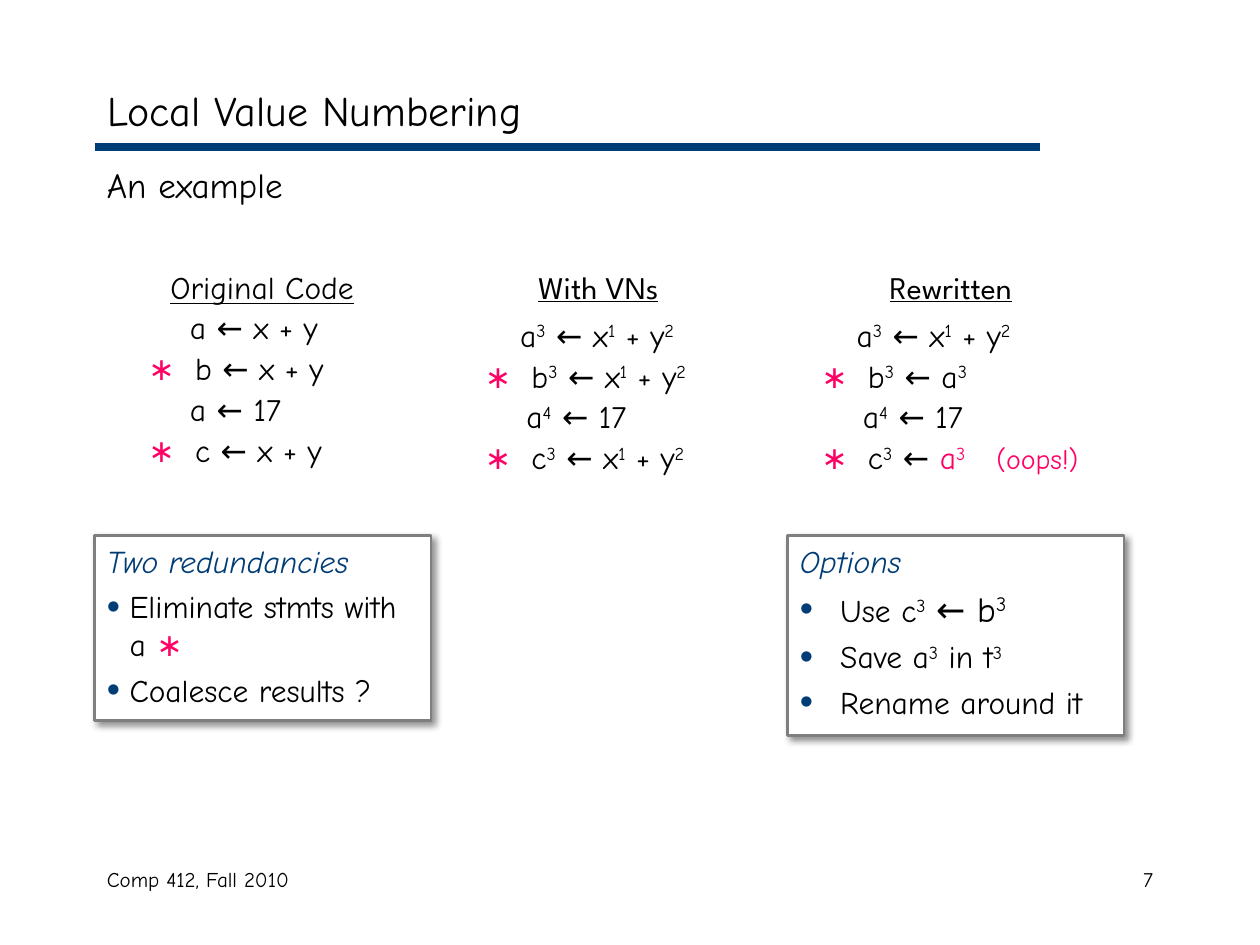
from lxml import etree
from pptx import Presentation
from pptx.dml.color import RGBColor
from pptx.enum import shapes, text
from pptx.oxml import parse_xml
from pptx.oxml.ns import nsdecls, qn
from pptx.util import Emu, Inches, Pt

COLORS = {"black": "000000", "navy": "003C75", "pink": "FF0065",
          "gray": "7F7F7F", "white": "FFFFFF"}
BODY_FONT = "Comic Neue"
HEADING_FONT = "League Spartan"
STAR = ("∗", {"color": "pink"})


class SlideBuilder:
    """Holds the text style and the slide being built."""

    def __init__(self, slide, font=BODY_FONT, size=18):
        self.slide = slide
        self.font = font
        self.size = size

    def color(self, name):
        return RGBColor.from_string(COLORS[name])

    def add_run(self, paragraph, words, size=None, color="black", font=None,
                italic=False, underline=False, superscript=False):
        run = paragraph.add_run()
        run.text = words
        run.font.name = font or self.font
        run.font.size = Pt(size or self.size)
        run.font.color.rgb = self.color(color)
        run.font.italic = italic
        run.font.underline = underline
        if superscript:
            run._r.get_or_add_rPr().set("baseline", "30000")

    def add_text(self, paragraph, *pieces):
        """Add strings or (string, style) pairs; ^ raises the next character."""
        for piece in pieces:
            words, style = (piece, {}) if isinstance(piece, str) else piece
            first, *rest = words.split("^")
            if first:
                self.add_run(paragraph, first, **style)
            for part in rest:
                self.add_run(paragraph, part[0], superscript=True, **style)
                if part[1:]:
                    self.add_run(paragraph, part[1:], **style)

    def prepare(self, shape):
        frame = shape.text_frame
        frame.word_wrap = True
        frame.vertical_anchor = text.MSO_ANCHOR.TOP
        return frame

    def title(self, words, left, top, width, height):
        shape = self.slide.shapes.title
        shape.left, shape.top, shape.width, shape.height = map(
            Inches, (left, top, width, height))
        frame = self.prepare(shape)
        frame.vertical_anchor = text.MSO_ANCHOR.MIDDLE
        frame.paragraphs[0].alignment = text.PP_ALIGN.LEFT
        self.add_text(frame.paragraphs[0], (words, {"size": 24}))

    def rule(self, left, right, y, width):
        line = self.slide.shapes.add_connector(
            shapes.MSO_CONNECTOR.STRAIGHT,
            Inches(left), Inches(y), Inches(right), Inches(y))
        line.line.color.rgb = self.color("navy")
        line.line.width = Pt(width)
        etree.SubElement(line._element.spPr, qn("a:effectLst"))

    def text_box(self, left, top, width, height):
        shape = self.slide.shapes.add_textbox(
            *map(Inches, (left, top, width, height)))
        return self.prepare(shape)

    def label(self, words, left, top, width, height, size,
              align=text.PP_ALIGN.LEFT):
        paragraph = self.text_box(left, top, width, height).paragraphs[0]
        paragraph.alignment = align
        self.add_text(paragraph, (words, {"size": size}))

    def tab_stops(self, paragraph, *positions):
        tabs = etree.SubElement(paragraph._p.get_or_add_pPr(), qn("a:tabLst"))
        for position in positions:
            etree.SubElement(tabs, qn("a:tab"), pos=str(Inches(position)),
                             algn="l")

    def code_column(self, heading, heading_font, left, width, lines,
                    first_indent=0.33, first_spacing=None):
        frame = self.text_box(left, 2.08, width, 1.78)
        paragraph = frame.paragraphs[0]
        paragraph.alignment = text.PP_ALIGN.CENTER
        paragraph.space_after = Pt(3.6)
        self.add_text(paragraph,
                      (heading, {"font": heading_font, "underline": True}))
        for index, pieces in enumerate(lines):
            paragraph = frame.add_paragraph()
            paragraph.space_before = Pt(1.8)
            if index == 0 and first_spacing:
                paragraph.line_spacing = first_spacing
            if pieces[0] is STAR:
                self.tab_stops(paragraph, 0.37, 1.39)
            else:
                indent = 0.33 if index else first_indent
                paragraph._p.get_or_add_pPr().set("marL", str(Inches(indent)))
            self.add_text(paragraph, *pieces)

    def bullet(self, paragraph, hang):
        properties = paragraph._p.get_or_add_pPr()
        properties.set("marL", str(Inches(hang)))
        properties.set("indent", str(-Inches(hang)))
        color = etree.SubElement(properties, qn("a:buClr"))
        etree.SubElement(color, qn("a:srgbClr"), val=COLORS["navy"])
        etree.SubElement(properties, qn("a:buSzPct"), val="120000")
        etree.SubElement(properties, qn("a:buFont"), typeface="Arial")
        etree.SubElement(properties, qn("a:buChar"), char="•")

    def note_box(self, heading, left, height, hang, bullets):
        shape = self.slide.shapes.add_shape(
            shapes.MSO_SHAPE.RECTANGLE,
            *map(Inches, (left, 4.25, 2.67, height)))
        shape.fill.solid()
        shape.fill.fore_color.rgb = self.color("white")
        shape.line.color.rgb = self.color("gray")
        shape.line.width = Pt(1.5)
        self.drop_shadow(shape)
        frame = self.prepare(shape)
        frame.paragraphs[0].alignment = text.PP_ALIGN.LEFT
        self.add_text(frame.paragraphs[0],
                      (heading, {"color": "navy", "italic": True}))
        for pieces in bullets:
            paragraph = frame.add_paragraph()
            paragraph.alignment = text.PP_ALIGN.LEFT
            paragraph.space_before = Pt(4.5)
            self.bullet(paragraph, hang)
            self.add_text(paragraph, *pieces)

    def drop_shadow(self, shape):
        shape._element.spPr.append(parse_xml(
            f'<a:effectLst {nsdecls("a")}>'
            f'<a:outerShdw blurRad="{Emu(Pt(4))}" dist="{Emu(Pt(3))}" '
            'dir="2700000" algn="tl" rotWithShape="0">'
            f'<a:srgbClr val="{COLORS["black"]}"><a:alpha val="43000"/>'
            '</a:srgbClr></a:outerShdw></a:effectLst>'))


def main():
    presentation = Presentation()
    presentation.slide_width = Inches(10)
    presentation.slide_height = Inches(7.5)
    slide = presentation.slides.add_slide(presentation.slide_layouts[5])
    builder = SlideBuilder(slide)

    # Title, rule and subtitle
    builder.rule(0.75, 8.25, 1.17, 4.5)
    builder.title("Local Value Numbering", 0.75, 0.58, 8.5, 0.58)
    builder.label("An example", 0.75, 1.25, 8.5, 0.5, 20)

    # Code before, during and after value numbering
    builder.code_column("Original Code", BODY_FONT, 1.08, 2, [
        ["a ← x + y"],
        [STAR, "\tb ← x + y"],
        ["a ← 17"],
        [STAR, "\tc ← x + y"],
    ], first_spacing=0.8)
    builder.code_column("With VNs", HEADING_FONT, 3.75, 2, [
        ["a^3 ← x^1 + y^2"],
        [STAR, "\tb^3 ← x^1 + y^2"],
        ["a^4 ← 17"],
        [STAR, "\tc^3 ← x^1 + y^2"],
    ], first_indent=0.28)
    builder.code_column("Rewritten", HEADING_FONT, 6.42, 2.25, [
        ["a^3 ← x^1 + y^2"],
        [STAR, "\tb^3 ← a^3"],
        ["a^4 ← 17"],
        [STAR, "\tc^3 ← ", ("a^3", {"color": "pink"}),
         ("\t(oops!)", {"color": "pink", "size": 16})],
    ], first_indent=0.28)

    # Notes below the code
    builder.note_box("Two redundancies", 0.75, 1.47, 0.18, [
        ["Eliminate stmts with a ", STAR],
        ["Coalesce results ?"],
    ])
    builder.note_box("Options", 6.25, 1.59, 0.32, [
        ["Use c^3 ", ("← b^3", {"size": 20})],
        ["Save a^3 in t^3"],
        ["Rename around it"],
    ])

    # Footer
    builder.label("Comp 412, Fall 2010", 0.75, 6.83, 3.17, 0.5, 12)
    builder.label("7", 7.17, 6.83, 2.08, 0.5, 12, text.PP_ALIGN.RIGHT)

    presentation.save("out.pptx")


if __name__ == "__main__":
    main()
